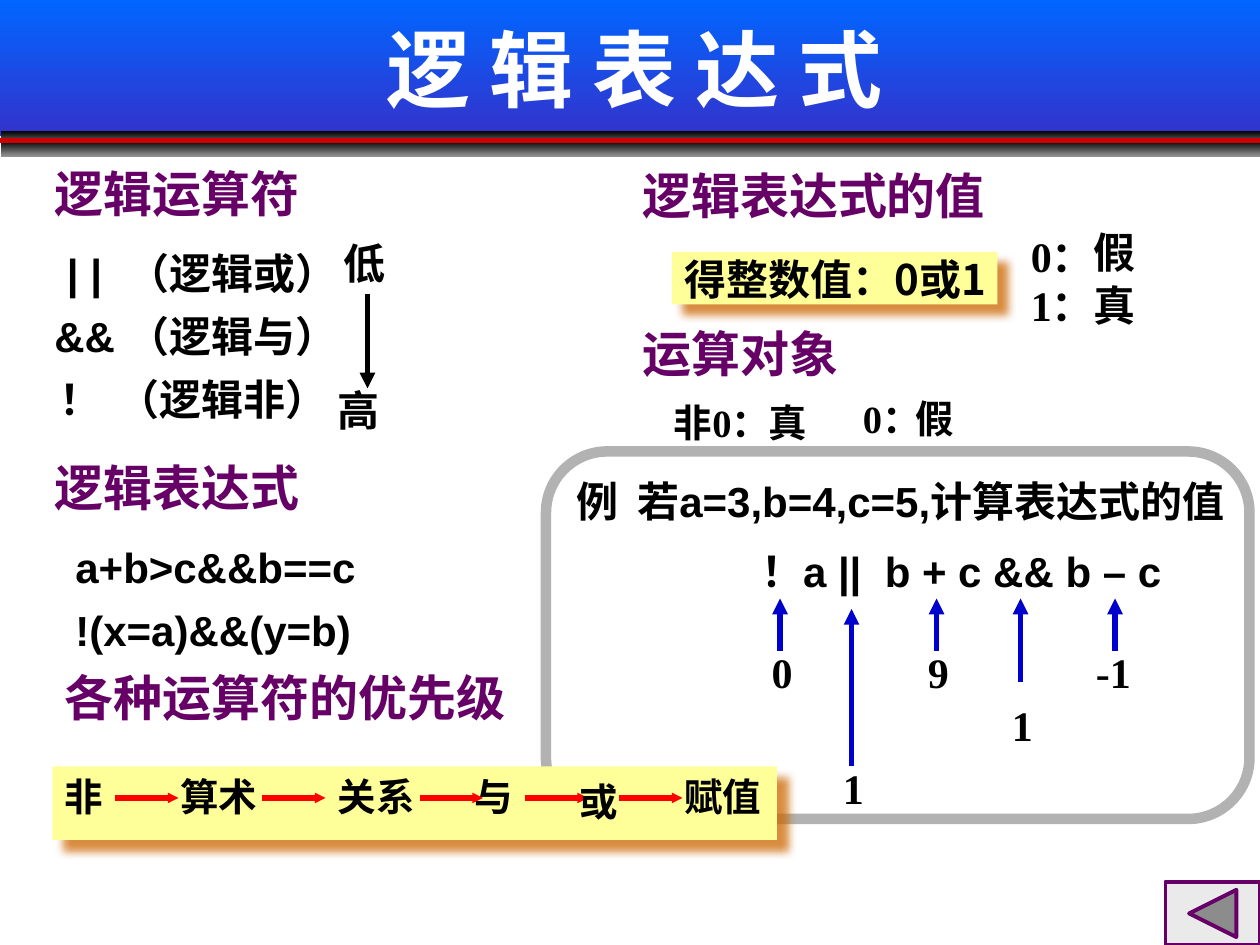
from collections import namedtuple
from dataclasses import dataclass

from lxml import etree
from pptx import Presentation
from pptx.dml.color import RGBColor
from pptx.enum.shapes import MSO_CONNECTOR, MSO_SHAPE
from pptx.enum.text import MSO_ANCHOR, PP_ALIGN
from pptx.oxml.ns import qn
from pptx.util import Inches, Pt

RECT, ROUND = MSO_SHAPE.RECTANGLE, MSO_SHAPE.ROUNDED_RECTANGLE
BACK, STRAIGHT = MSO_SHAPE.ACTION_BUTTON_BACK_OR_PREVIOUS, MSO_CONNECTOR.STRAIGHT
TOP, MIDDLE = MSO_ANCHOR.TOP, MSO_ANCHOR.MIDDLE
LEFT, CENTER = PP_ALIGN.LEFT, PP_ALIGN.CENTER
COLS, ROWS = 120, 90
CELL = Inches(10) / COLS

Box = namedtuple("Box", "x y w h")


@dataclass(frozen=True)
class Theme:
    """Colours, fonts and type sizes of the slide."""
    ink: str = "000000"
    white: str = "FFFFFF"
    heading: str = "660066"
    note: str = "FFFF99"
    note_shadow: str = "CC6600"
    banner: tuple = ("0066FF", "3333CC")
    banner_shadow: str = "808080"
    band: tuple = ("000000", "929292")
    rule: str = "CC0000"
    frame: str = "B2B2B2"
    step: str = "FF0000"
    pointer: str = "0000CC"
    button: str = "EAEAEA"
    sans: str = "Arial"
    serif: str = "Times New Roman"
    cjk: str = "Noto Sans CJK SC"
    title_size: int = 48
    heading_size: int = 28
    body_size: int = 24
    small_size: int = 22


T = Theme()


def rgb(color):
    """Return a hex string as a colour."""
    return RGBColor.from_string(color)


def place(box, x, y, w, h):
    """Return slide lengths for cells counted from a box's corner."""
    return [round(v * CELL) for v in (box.x + x, box.y + y, w, h)]


def write(shape, text, font=T.sans, size=T.body_size, color=T.ink,
          anchor=TOP, align=LEFT, wrap=True):
    """Set one bold, formatted paragraph in a shape."""
    tf = shape.text_frame
    tf.word_wrap, tf.vertical_anchor = wrap, anchor
    p = tf.paragraphs[0]
    p.alignment = align
    r = p.add_run()
    r.text = text
    r.font.name, r.font.size, r.font.bold = font, Pt(size), True
    r.font.color.rgb = rgb(color)
    etree.SubElement(r.font._element, qn("a:ea"), typeface=T.cjk)


def label(s, box, x, y, text, w=11, h=6, **fmt):
    """Add a text box at a cell of a box."""
    write(s.shapes.add_textbox(*place(box, x, y, w, h)), text, **fmt)


def heading(s, box, x, y, text):
    """Add a section heading."""
    label(s, box, x, y, text, w=54, h=6.8, size=T.heading_size,
          color=T.heading, anchor=MIDDLE)


def panel(s, box, x, y, w, h, fill, kind=RECT, line=None, width=1):
    """Add a preset shape with a plain or vertical gradient fill."""
    sp = s.shapes.add_shape(kind, *place(box, x, y, w, h))
    sp.shadow.inherit = False
    if isinstance(fill, tuple):
        sp.fill.gradient()
        sp.fill.gradient_angle = 270
        for stop, color in zip(sp.fill.gradient_stops, fill):
            stop.color.rgb = rgb(color)
    else:
        sp.fill.solid()
        sp.fill.fore_color.rgb = rgb(fill)
    if line:
        sp.line.color.rgb, sp.line.width = rgb(line), Pt(width)
    else:
        sp.line.fill.background()
    return sp


def cast(sp, color, distance):
    """Give a shape a soft shadow to the lower right."""
    effects = sp._element.spPr.find(qn("a:effectLst"))
    shadow = etree.SubElement(effects, qn("a:outerShdw"), blurRad=str(Pt(5)),
                              dist=str(Pt(distance)), dir="2700000", algn="tl")
    tint = etree.SubElement(shadow, qn("a:srgbClr"), val=color)
    etree.SubElement(tint, qn("a:alpha"), val="75000")


def line(s, box, start, end, color, head=None, length="med"):
    """Draw a line between two cells, with an arrowhead of the given size."""
    x1, y1, x2, y2 = place(box, *start, box.x + end[0], box.y + end[1])
    c = s.shapes.add_connector(STRAIGHT, x1, y1, x2, y2)
    c.line.color.rgb, c.line.width = rgb(color), Pt(3)
    if head:
        etree.SubElement(c.line._get_or_add_ln(), qn("a:tailEnd"),
                         type="triangle", w=head, len=length)
    etree.SubElement(c._element.spPr, qn("a:effectLst"))


def banner(s, box):
    """Draw the title banner and its rule."""
    cast(panel(s, box, 0, 0, box.w, 13, T.banner), T.banner_shadow, 3)
    for y in (12.5, 13.4):
        panel(s, box, 0.1, y, box.w - 0.1, 1.5, T.band)
    line(s, box, (0, 13.4), (box.w, 13.4), T.rule)
    title = s.shapes.title
    title.left, title.top, title.width, title.height = place(box, 5, 0, 110.8, 13)
    write(title, "逻 辑 表 达 式", size=T.title_size, color=T.white,
          anchor=MIDDLE, align=CENTER)
    s.shapes._spTree.append(title._element)


def operators(s, box):
    """List the operators from low to high priority."""
    heading(s, box, 1, 0, "逻辑运算符")
    rows = [(2.2, "| |", 8, "（逻辑或）"), (1, "&&", 8, "（逻辑与）"),
            (1.5, "！", 7, "（逻辑非）")]
    for i, (x, sign, name_x, name) in enumerate(rows):
        label(s, box, x, 8 + 6 * i, sign)
        label(s, box, name_x, 8 + 6 * i, name, w=25, font=T.serif)
    line(s, box, (32, 13), (32, 22), T.ink, "med")
    label(s, box, 28.5, 7, "低", font=T.serif)
    label(s, box, 28, 21, "高", font=T.serif)


def expressions(s, box):
    """Show sample expressions and the heading for priorities."""
    heading(s, box, 1, 0, "逻辑表达式")
    for i, code in enumerate(("a+b>c&&b==c", "!(x=a)&&(y=b)")):
        label(s, box, 3, 8 + 6 * i, code, w=34)
    heading(s, box, 2, 20, "各种运算符的优先级")


def values(s, box):
    """Explain the value of a logical expression."""
    heading(s, box, 1, 0.2, "逻辑表达式的值")
    note = panel(s, box, 5, 9, 31, 5, T.note)
    cast(note, T.note_shadow, 8.5)
    write(note, "得整数值：0或1", font=T.cjk, anchor=MIDDLE, wrap=False)
    for x, y, text in ((38, 6.4, "0："), (44, 6, "假"), (38, 11, "1："), (44, 11, "真")):
        label(s, box, x, y, text, font=T.serif)


def operands(s, box):
    """Explain how operands count as true or false."""
    heading(s, box, 1, 0.2, "运算对象")
    for x, y, text in ((4, 7.4, "非0："), (13, 7.4, "真"), (22, 7, "0："), (27, 7, "假")):
        label(s, box, x, y, text, w=23, font=T.serif, size=T.small_size)


def example(s, box):
    """Work out an expression, with a result under each operator."""
    frame = panel(s, box, 0, 0, box.w, box.h, T.white, ROUND, T.frame, 6)
    write(frame, "例  若a=3,b=4,c=5,计算表达式的值", wrap=False)
    label(s, box, 19.3, 8.4, "！a ||  b + c && b – c", w=42)
    results = [(22.3, 14, 19, 18, "0"), (29.1, 15, 30, 29, "1"),
               (37.2, 14, 19, 18, "9"), (45.2, 14, 22, 23, "1"),
               (54.2, 14, 19, 18, "-1")]
    for x, top, bottom, y, text in results:
        line(s, box, (x, bottom), (x, top), T.pointer, "med")
        label(s, box, x - 1 - len(text), y, text, w=6, font=T.serif)


def priority(s, box):
    """Chain the operator classes by priority."""
    cast(panel(s, box, 0, 0, box.w, box.h, T.note), T.note_shadow, 8.5)
    for x in (6, 20, 35, 45, 54):
        line(s, box, (x, 3), (x + 6, 3), T.step, "sm", "sm")
    steps = [(0, 0, "非"), (11, 0, "算术"), (26, 0, "关系"), (39, 0, "与"),
             (49, 0.5, "或"), (59, 0, "赋值")]
    for x, y, text in steps:
        label(s, box, x, y, text, font=T.serif, size=T.small_size)


def main():
    """Build the slide and save it."""
    prs = Presentation()
    prs.slide_width, prs.slide_height = round(COLS * CELL), round(ROWS * CELL)
    s = prs.slides.add_slide(prs.slide_layouts[5])
    banner(s, Box(0, 0, COLS, 15))
    operators(s, Box(3, 15, 47, 27))
    expressions(s, Box(3, 43, 54, 27))
    values(s, Box(59, 15, 58, 15))
    operands(s, Box(59, 30, 58, 13))
    example(s, Box(52, 43, 67, 35))
    priority(s, Box(5, 73, 69, 7))
    panel(s, Box(111, 84, 9, 6), 0, 0, 9, 6, T.button, BACK, T.heading, 2.25)
    prs.save("out.pptx")


if __name__ == "__main__":
    main()
